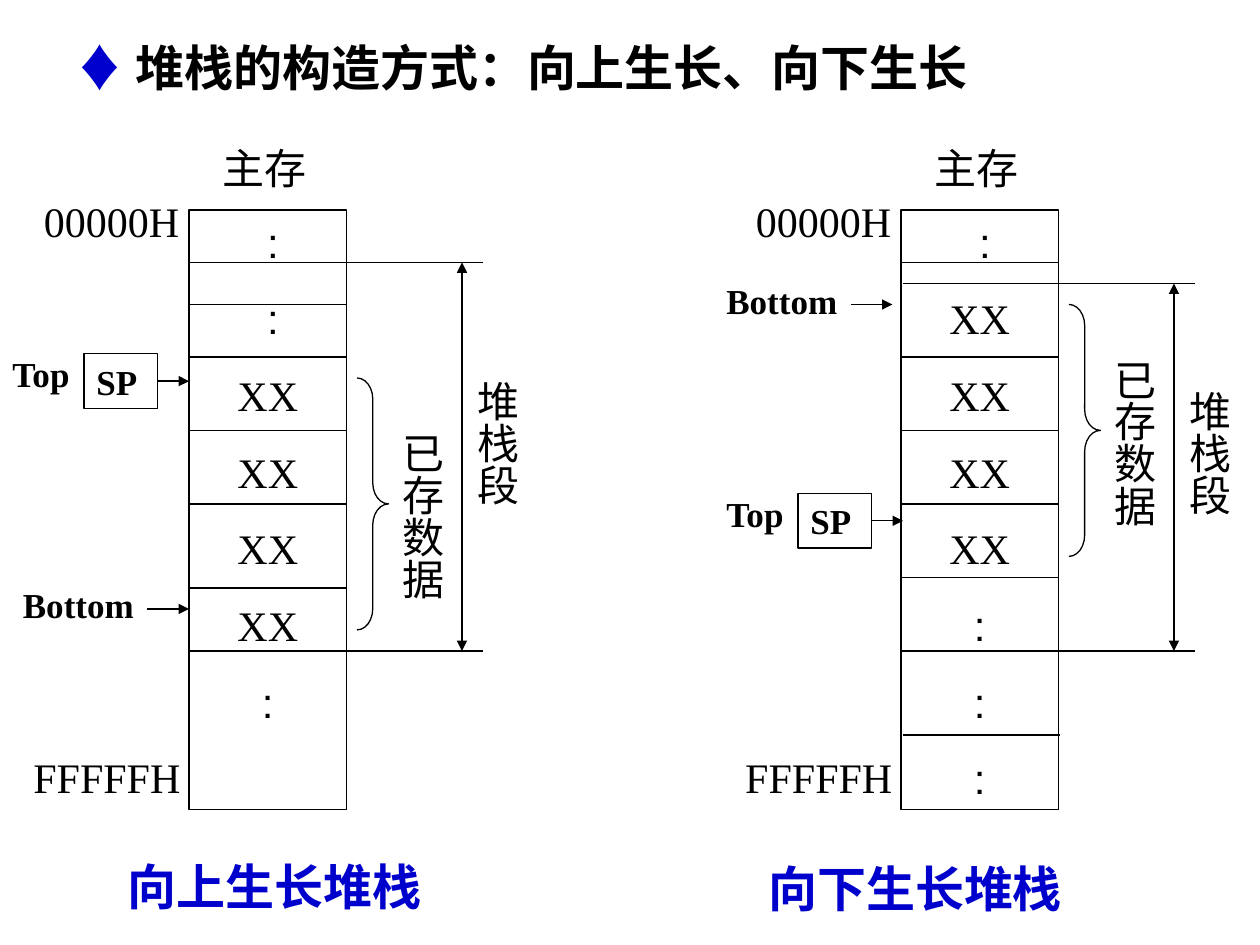
import lxml.etree
import pptx
import pptx.chart.data
import pptx.dml.color
import pptx.enum.shapes
import pptx.enum.text
import pptx.oxml.ns
import pptx.util

COLORS = {"ink": "000000", "accent": "0000CC"}
FONTS = {"serif": "Times New Roman", "sans": "Arial"}
COLUMNS, ROWS = 120, 90
SLIDE_WIDTH, SLIDE_HEIGHT = pptx.util.Inches(10), pptx.util.Inches(7.5)
STYLES = {
    "heading": {"size": 28, "bold": True, "color": "accent", "space": 17.5},
    "body": {"size": 24, "bold": False, "color": "ink", "space": 15},
    "label": {"size": 20, "bold": True, "color": "ink", "space": 12.5},
}
SHAPES = pptx.enum.shapes.MSO_SHAPE
ALIGN = pptx.enum.text.PP_ALIGN

GROWING_UP = {
    "left": 0,
    "cells": [" :", " :", "XX", "XX", "XX", "XX", ":"],
    "dividers": [12, 16, 21, 28, 35, 43, 49],
    "shifted": [],
    "segment": 12,
    "segment_label": 22,
    "data": 23,
    "bottom": (1, 42),
    "top": (0, 20),
    "pointer": 8,
    "caption": ("向上生长堆栈", 11, 68),
}
GROWING_DOWN = {
    "left": 67.8,
    "cells": [" :", "XX", "XX", "XX", "XX", ":", ":", ":"],
    "dividers": [12, 21, 28, 35, 42, 49],
    "shifted": [14, 57],
    "segment": 14,
    "segment_label": 23,
    "data": 16,
    "bottom": (0.2, 13),
    "top": (0.2, 33.3),
    "pointer": 8.2,
    "caption": ("向下生长堆栈", 4.2, 68.2),
}


def across(columns):
    return round(SLIDE_WIDTH * columns / COLUMNS)


def down(rows):
    return round(SLIDE_HEIGHT * rows / ROWS)


def color(name):
    return pptx.dml.color.RGBColor.from_string(COLORS[name])


def place(box, left, top, width, height):
    return (across(box[0] + left), down(box[1] + top), across(width), down(height))


def set_values(target, values):
    for name, value in values.items():
        setattr(target, name, value)


def add_run(paragraph, text, style, font="serif", color_name=None):
    run = paragraph.add_run()
    run.text = text
    values = {"size": pptx.util.Pt(style["size"]), "bold": style["bold"], "name": FONTS[font]}
    set_values(run.font, values)
    run.font.color.rgb = color(color_name or style["color"])


def format_frame(frame, vertical=False):
    wide, narrow = pptx.util.Inches(0.1), pptx.util.Inches(0.05)
    side, end = (narrow, wide) if vertical else (wide, narrow)
    set_values(frame, {
        "margin_left": side, "margin_right": side,
        "margin_top": end, "margin_bottom": end,
        "word_wrap": True,
        "auto_size": pptx.enum.text.MSO_AUTO_SIZE.NONE,
        "vertical_anchor": pptx.enum.text.MSO_ANCHOR.TOP,
    })
    if vertical:
        frame._txBody.bodyPr.set("vert", "eaVert")


def format_paragraph(paragraph, style, alignment=ALIGN.LEFT):
    set_values(paragraph, {"alignment": alignment, "space_before": pptx.util.Pt(style["space"])})


def add_text(slide, position, text, style_name="body", vertical=False):
    frame = slide.shapes.add_textbox(*position).text_frame
    format_frame(frame, vertical)
    format_paragraph(frame.paragraphs[0], STYLES[style_name])
    add_run(frame.paragraphs[0], text, STYLES[style_name])


def add_outline(slide, kind, position):
    shape = slide.shapes.add_shape(kind, *position)
    shape.shadow.inherit = False
    shape.fill.background()
    shape.line.color.rgb = color("ink")
    shape.line.width = pptx.util.Pt(0.75)
    format_frame(shape.text_frame)
    return shape


def add_line(slide, box, start, finish, arrows=()):
    ends = [across(box[0] + start[0]), down(box[1] + start[1]),
            across(box[0] + finish[0]), down(box[1] + finish[1])]
    connector = slide.shapes.add_connector(pptx.enum.shapes.MSO_CONNECTOR.STRAIGHT, *ends)
    connector.line.color.rgb = color("ink")
    connector.line.width = pptx.util.Pt(0.75)
    for arrow in arrows:
        tag = pptx.oxml.ns.qn(f"a:{arrow}")
        lxml.etree.SubElement(connector.line._get_or_add_ln(), tag, type="triangle")
    lxml.etree.SubElement(connector._element.spPr, pptx.oxml.ns.qn("a:effectLst"))
    return connector


def add_title(slide):
    title = slide.shapes.title
    position = place((0, 0), 6, 3, 94, 6.8)
    set_values(title, dict(zip(("left", "top", "width", "height"), position)))
    format_frame(title.text_frame)
    paragraph = title.text_frame.paragraphs[0]
    style = STYLES["heading"]
    format_paragraph(paragraph, style)
    add_run(paragraph, "♦ ", style, "sans")
    add_run(paragraph, "堆栈的构造方式：向上生长、向下生长", style, color_name="ink")


def add_memory(slide, box, stack):
    memory = add_outline(slide, SHAPES.RECTANGLE, place(box, 18, 7, 15, 57.1))
    frame = memory.text_frame
    for index, cell in enumerate(stack["cells"]):
        paragraph = frame.add_paragraph() if index else frame.paragraphs[0]
        format_paragraph(paragraph, STYLES["body"], ALIGN.CENTER)
        if cell.startswith(" "):
            add_run(paragraph, " ", STYLES["body"])
        text = cell.strip()
        add_run(paragraph, text, STYLES["body"], "sans" if text == ":" else "serif")
    for shift, rows in ((0, stack["dividers"]), (0.2, stack["shifted"])):
        for row in rows:
            add_line(slide, box, (18 + shift, row), (33 + shift, row))
    add_text(slide, place(box, 20, 0, 13, 6), "主存")
    add_text(slide, place(box, 3, 5, 16, 6), "00000H")
    add_text(slide, place(box, 2, 58, 18, 6), "FFFFFH")


def add_extents(slide, box, stack):
    brace = add_outline(slide, SHAPES.RIGHT_BRACE, place(box, 34, stack["data"], 3, 24))
    brace.adjustments[0] = 0.67
    add_text(slide, place(box, 36, stack["data"] + 4, 7.2, 24), "已存数据", vertical=True)
    for row in (stack["segment"], 49):
        add_line(slide, box, (33, row), (46, row))
    add_line(slide, box, (44, stack["segment"]), (44, 49), ("headEnd", "tailEnd"))
    add_text(slide, place(box, 43.1, stack["segment_label"], 7.2, 22), "堆栈段", vertical=True)


def add_pointers(slide, box, stack):
    left, row = stack["bottom"]
    add_text(slide, place(box, left, row, 13, 5.3), "Bottom", "label")
    add_line(slide, box, (left + 13, row + 3), (left + 17, row + 3), ("tailEnd",))
    left, row = stack["top"]
    add_text(slide, place(box, left, row, 13, 5.3), "Top", "label")
    column = stack["pointer"]
    pointer = add_outline(slide, SHAPES.RECTANGLE, place(box, column, row + 0.7, 7, 5.2))
    paragraph = pointer.text_frame.paragraphs[0]
    format_paragraph(paragraph, STYLES["label"])
    add_run(paragraph, "SP", STYLES["label"])
    middle = row + 0.7 + 5.2 / 2
    arrow = add_line(slide, box, (column + 7, middle), (column + 10, middle), ("tailEnd",))
    arrow.begin_connect(pointer, 3)


def add_stack(slide, stack):
    box = (stack["left"], 13)
    add_memory(slide, box, stack)
    add_extents(slide, box, stack)
    add_pointers(slide, box, stack)
    caption, left, top = stack["caption"]
    add_text(slide, place(box, left, top, 41, 6.8), caption, "heading")


def main():
    presentation = pptx.Presentation()
    presentation.slide_width, presentation.slide_height = SLIDE_WIDTH, SLIDE_HEIGHT
    slide = presentation.slides.add_slide(presentation.slide_layouts[5])
    add_title(slide)
    for stack in (GROWING_UP, GROWING_DOWN):
        add_stack(slide, stack)
    presentation.save("out.pptx")


if __name__ == "__main__":
    main()
